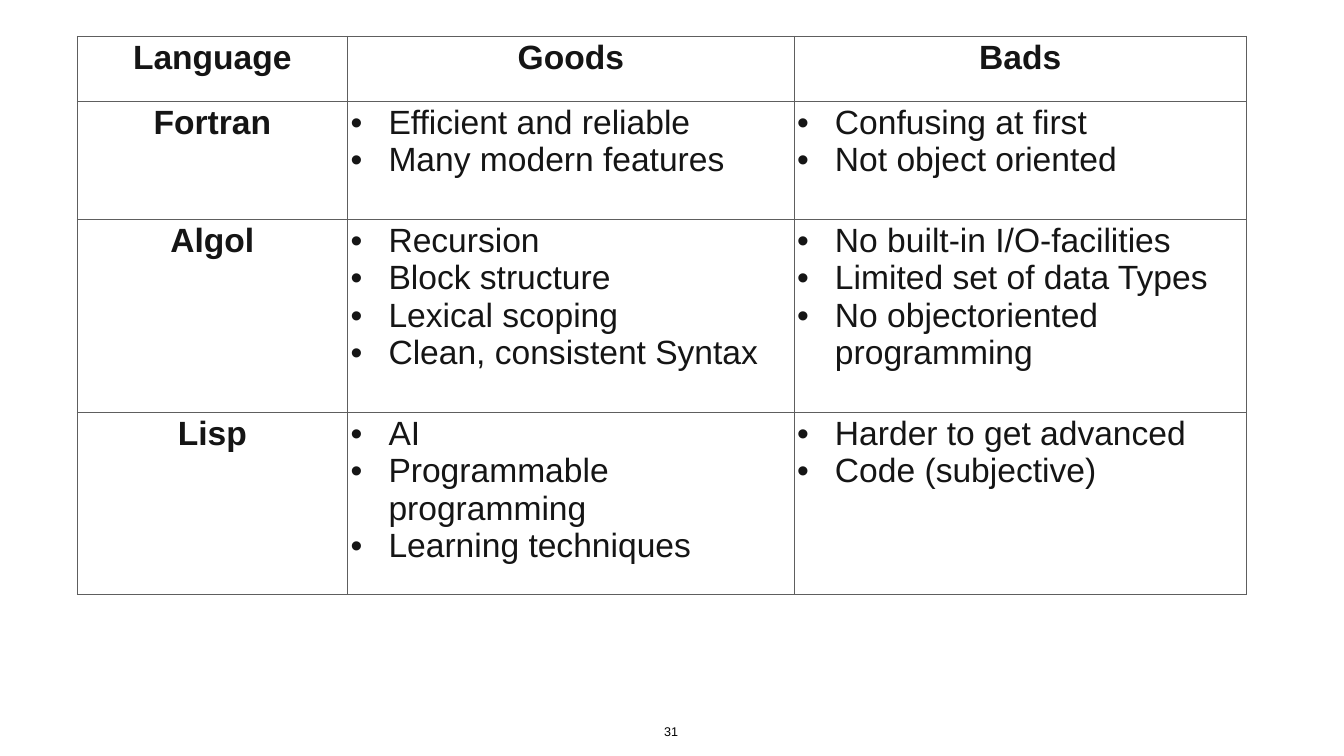
from dataclasses import dataclass

from lxml.etree import SubElement
from pptx import Presentation
from pptx.dml.color import RGBColor
from pptx.enum.text import MSO_ANCHOR as Anchor, MSO_AUTO_SIZE as AutoSize, PP_ALIGN as Align
from pptx.oxml.ns import qn
from pptx.util import Inches, Pt


@dataclass(frozen=True)
class Theme:
    font: str = "Arial"
    ink: str = "151515"
    border: str = "5E5E5E"
    number_ink: str = "000000"
    table_size: int = 48
    number_size: int = 18
    border_width: float = 1
    bullet_indent: float = 0.75
    inset: float = 0.06


THEME = Theme()
COLUMN_WIDTHS = [5.37, 8.86, 8.97]
ROW_HEIGHTS = [1.29, 2.34, 3.83, 3.62]
HEADINGS = ["Language", "Goods", "Bads"]
LANGUAGES = [
    ("Fortran",
     ["Efficient and reliable", "Many modern features"],
     ["Confusing at first", "Not object oriented"]),
    ("Algol",
     ["Recursion", "Block structure", "Lexical scoping", "Clean, consistent Syntax"],
     ["No built-in I/O-facilities", "Limited set of data Types",
      "No objectoriented programming"]),
    ("Lisp",
     ["AI", "Programmable programming", "Learning techniques"],
     ["Harder to get advanced", "Code (subjective)"]),
]


def add_text(paragraph, text, size, color, bold=False):
    run = paragraph.add_run()
    run.text = text
    run.font.name = THEME.font
    run.font.size = Pt(size)
    run.font.bold = bold
    run.font.color.rgb = RGBColor.from_string(color)


def add_bullet(paragraph):
    properties = paragraph._p.get_or_add_pPr()
    indent = Inches(THEME.bullet_indent)
    properties.set("marL", str(indent))
    properties.set("indent", str(-indent))
    SubElement(properties, qn("a:buFont"), typeface=THEME.font)
    SubElement(properties, qn("a:buChar"), char="•")


def set_borders(cell):
    properties = cell._tc.get_or_add_tcPr()
    for position, side in enumerate(("lnL", "lnR", "lnT", "lnB")):
        line = SubElement(properties, qn(f"a:{side}"), w=str(Pt(THEME.border_width)))
        fill = SubElement(line, qn("a:solidFill"))
        SubElement(fill, qn("a:srgbClr"), val=THEME.border)
        # Borders come before the fill in the cell properties
        properties.insert(position, line)


def fill_cell(cell, content):
    """A string becomes a bold centred label, a list becomes bullets."""
    cell.fill.background()
    set_borders(cell)
    cell.margin_left = cell.margin_right = Inches(THEME.inset)
    cell.margin_top = cell.margin_bottom = Inches(0.05)
    cell.vertical_anchor = Anchor.TOP
    is_label = isinstance(content, str)
    frame = cell.text_frame
    for index, text in enumerate([content] if is_label else content):
        paragraph = frame.add_paragraph() if index else frame.paragraphs[0]
        paragraph.alignment = Align.CENTER if is_label else Align.LEFT
        if not is_label:
            add_bullet(paragraph)
        add_text(paragraph, text, THEME.table_size, THEME.ink, bold=is_label)


def add_comparison_table(slide, left, top):
    rows = [HEADINGS, *LANGUAGES]
    shape = slide.shapes.add_table(
        len(rows), len(HEADINGS), Inches(left), Inches(top),
        Inches(sum(COLUMN_WIDTHS)), Inches(sum(ROW_HEIGHTS)))
    table = shape.table
    table.first_row = table.horz_banding = False
    for column, width in zip(table.columns, COLUMN_WIDTHS):
        column.width = Inches(width)
    for row, height, contents in zip(table.rows, ROW_HEIGHTS, rows):
        row.height = Inches(height)
        for cell, content in zip(row.cells, contents):
            fill_cell(cell, content)


def add_page_number(slide, left, top, width, height, number):
    box = slide.shapes.add_textbox(Inches(left), Inches(top), Inches(width), Inches(height))
    frame = box.text_frame
    frame.word_wrap = False
    frame.auto_size = AutoSize.SHAPE_TO_FIT_TEXT
    frame.vertical_anchor = Anchor.BOTTOM
    frame.margin_left = frame.margin_right = Inches(THEME.inset)
    frame.margin_top = frame.margin_bottom = Inches(THEME.inset)
    paragraph = frame.paragraphs[0]
    paragraph.alignment = Align.CENTER
    add_text(paragraph, number, THEME.number_size, THEME.number_ink)


def main():
    presentation = Presentation()
    presentation.slide_width = Inches(26.67)
    presentation.slide_height = Inches(15)
    slide = presentation.slides.add_slide(presentation.slide_layouts[6])

    # Language comparison
    add_comparison_table(slide, 1.53, 0.72)
    # Footer
    add_page_number(slide, 13.12, 14.31, 0.4, 0.41, "31")

    presentation.save("out.pptx")


main()
